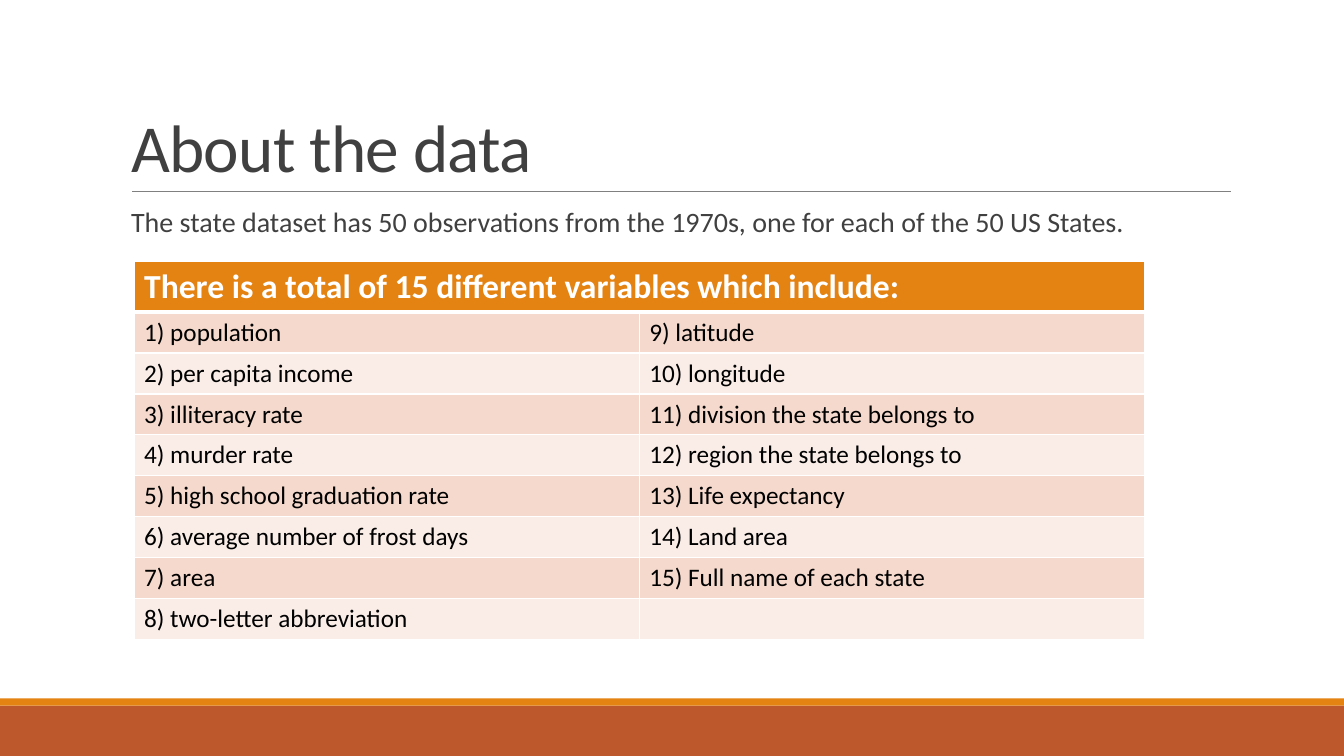
from lxml.etree import SubElement
from pptx import Presentation
from pptx.dml.color import RGBColor
from pptx.enum.shapes import MSO_CONNECTOR, MSO_SHAPE
from pptx.enum.text import MSO_ANCHOR, MSO_AUTO_SIZE, PP_ALIGN
from pptx.oxml.ns import qn
from pptx.util import Inches, Pt

ORANGE, RUST, GREY, WHITE = "E48312", "BD582C", "404040", "FFFFFF"
BANDS = ["F5D9CC", "FAEDE7"]


def paint(fill, color):
    fill.solid()
    fill.fore_color.rgb = RGBColor.from_string(color)


def write(frame, text, size, color, bold=False, line=1, before=0, after=0):
    """Fill the first paragraph of a frame and return it with its run."""
    par = frame.paragraphs[0]
    par.alignment = PP_ALIGN.LEFT
    par.line_spacing = line
    par.space_before, par.space_after = Pt(before), Pt(after)
    run = par.add_run()
    run.text = text
    run.font.name, run.font.size, run.font.bold = "Calibri", Pt(size), bold
    paint(run.font.fill, color)
    return par, run


deck = Presentation()
deck.slide_width, deck.slide_height = Inches(13.33), Inches(7.5)
slide = deck.slides.add_slide(deck.slide_layouts[1])
shapes = slide.shapes

# Footer bars and title rule
for top, height, color in [(7, 0.5, RUST), (6.93, 0.07, ORANGE)]:
    bar = shapes.add_shape(MSO_SHAPE.RECTANGLE, 0, Inches(top),
                           deck.slide_width, Inches(height))
    bar.shadow.inherit = False
    paint(bar.fill, color)
    bar.line.fill.background()

rule = shapes.add_connector(MSO_CONNECTOR.STRAIGHT, Inches(1.31), Inches(1.9),
                            Inches(12.21), Inches(1.9))
paint(rule.line.fill, "808080")
rule.line.width = Pt(0.5)
SubElement(rule._element.spPr, qn("a:effectLst"))

# Title and body
title, body = shapes.title, slide.placeholders[1]
for holder, top, height in [(title, 0.31, 1.59), (body, 2.02, 4.4)]:
    holder.left, holder.top = Inches(1.2), Inches(top)
    holder.width, holder.height = Inches(11), Inches(height)
    holder.text_frame.auto_size = MSO_AUTO_SIZE.NONE
    holder.text_frame.word_wrap = True

title.text_frame.vertical_anchor = MSO_ANCHOR.BOTTOM
par, run = write(title.text_frame, "About the data", 48, GREY, line=0.85)
run.font._element.set("spc", "-50")

frame = body.text_frame
frame.vertical_anchor = MSO_ANCHOR.TOP
frame.margin_left = frame.margin_right = 0
par, run = write(
    frame,
    "The state dataset has 50 observations from the 1970s, "
    "one for each of the 50 US States.",
    20, GREY, line=0.9, before=12, after=2)
props = par._p.get_or_add_pPr()
props.set("marL", str(Inches(0.1)))
props.set("indent", str(-Inches(0.1)))
SubElement(props, qn("a:buChar"), char=" ")

# Table of variables, numbered down the left column and then the right
names = [
    "population", "per capita income", "illiteracy rate", "murder rate",
    "high school graduation rate", "average number of frost days", "area",
    "two-letter abbreviation", "latitude", "longitude",
    "division the state belongs to", "region the state belongs to",
    "Life expectancy", "Land area", "Full name of each state",
]
depth = 8
table = shapes.add_table(depth + 1, 2, Inches(1.33), Inches(2.59),
                         Inches(10.02), Inches(3.7)).table
for row in table.rows:
    row.height = Inches(0.405)
table.rows[0].height = Inches(0.46)

for r in range(depth + 1):
    for c in range(2):
        cell = table.cell(r, c)
        for side in "LRTB":
            thick = (r, side) in [(0, "B"), (1, "T")]
            edge = SubElement(cell._tc.get_or_add_tcPr(), qn("a:ln" + side),
                              w=str(Pt(3 if thick else 1)))
            ink = SubElement(edge, qn("a:solidFill"))
            SubElement(ink, qn("a:srgbClr"), val=WHITE)
        paint(cell.fill, BANDS[(r - 1) % 2] if r else ORANGE)

head = table.cell(0, 0)
head.merge(table.cell(0, 1))
write(head.text_frame, "There is a total of 15 different variables which include:",
      24, WHITE, bold=True)
for i, name in enumerate(names):
    cell = table.cell(i % depth + 1, i // depth)
    write(cell.text_frame, f"{i + 1}) {name}", 18, "000000")

deck.save("out.pptx")
